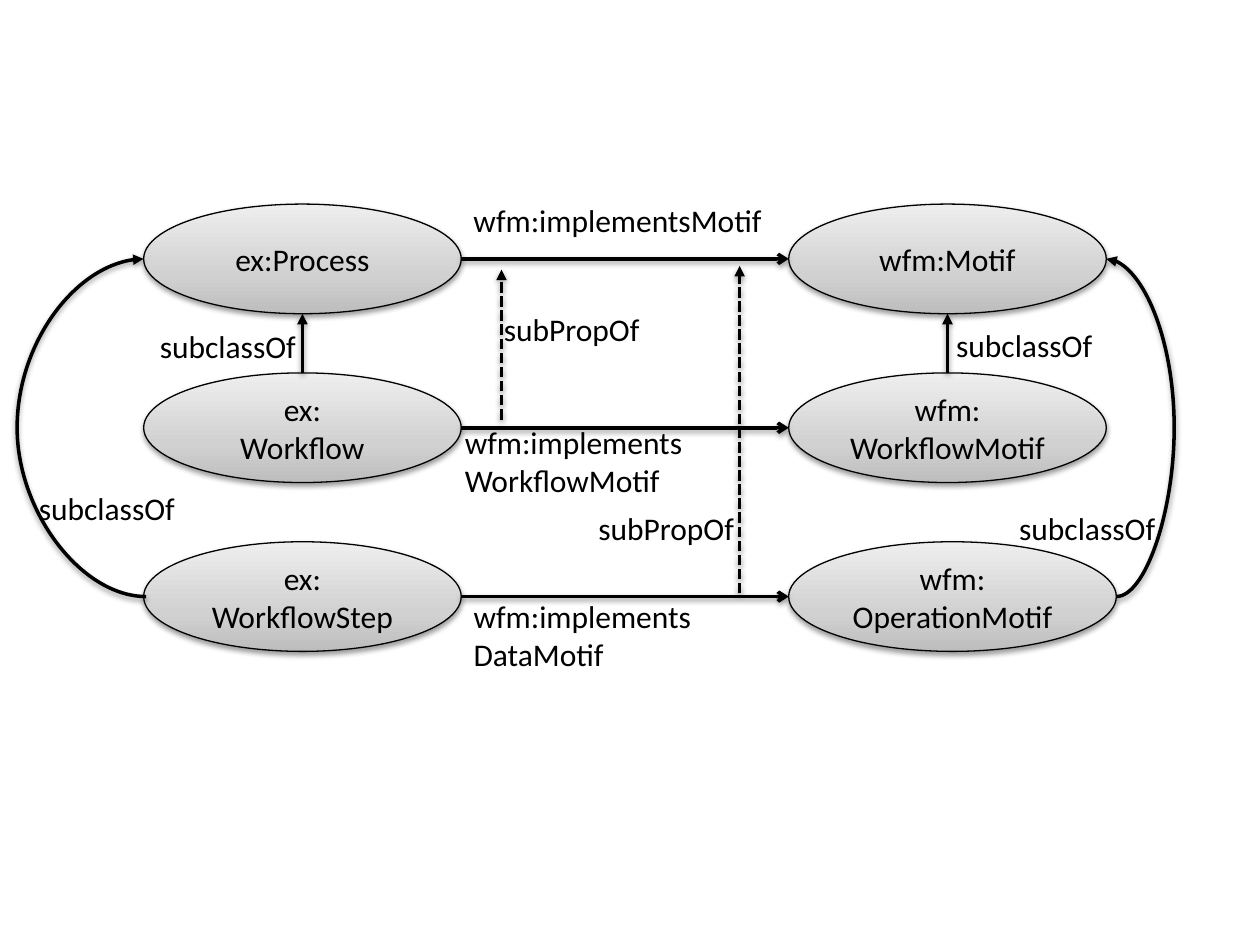
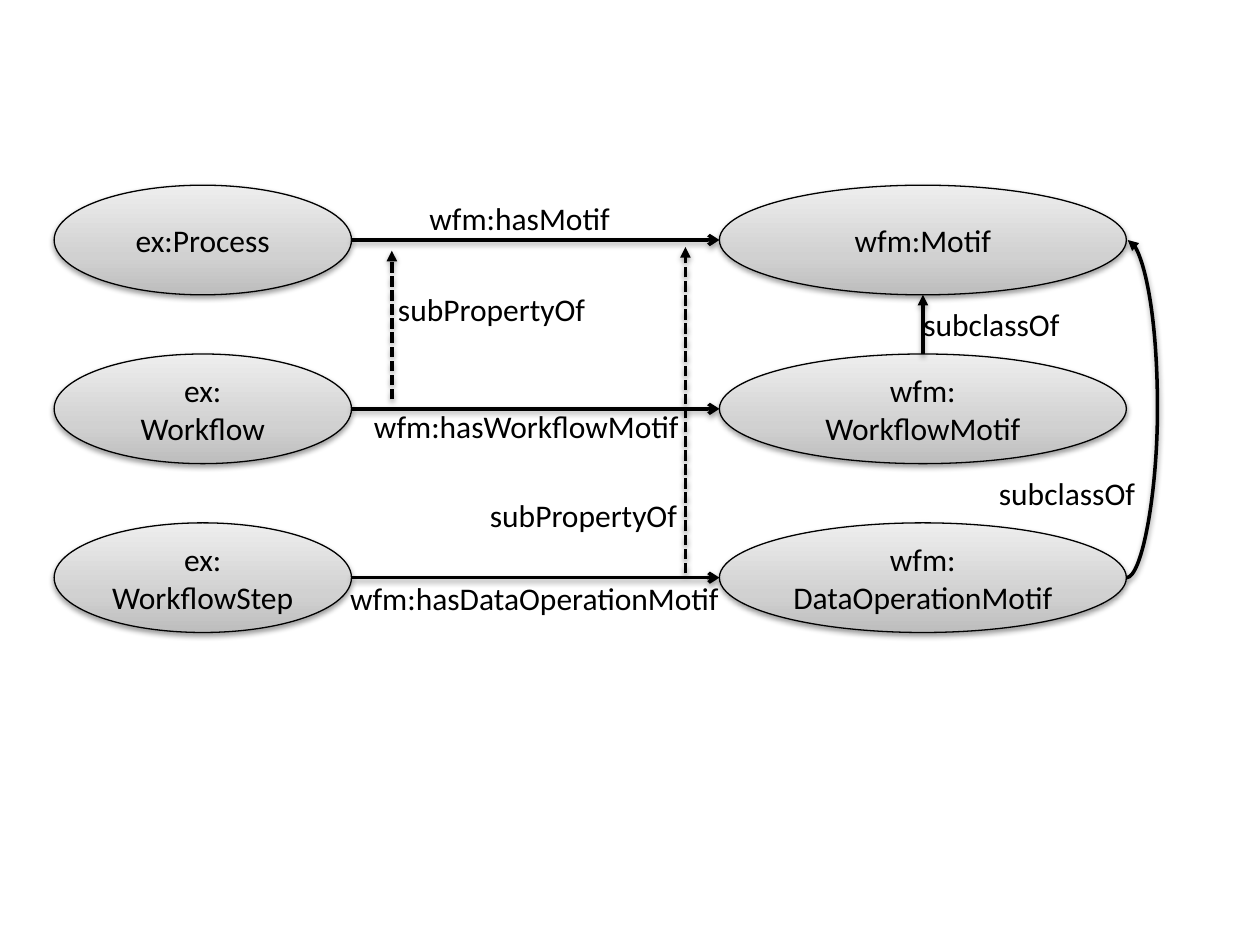
from copy import deepcopy
from dataclasses import dataclass

from pptx import Presentation
from pptx.dml.color import RGBColor
from pptx.enum.dml import MSO_LINE
from pptx.enum.shapes import MSO_CONNECTOR, MSO_SHAPE
from pptx.enum.text import MSO_ANCHOR, MSO_AUTO_SIZE, PP_ALIGN
from pptx.oxml import parse_xml
from pptx.oxml.ns import nsdecls, qn
from pptx.shapes.connector import Connector
from pptx.slide import Slide
from pptx.text.text import TextFrame
from pptx.util import Inches, Pt

# Shared style
BLACK = RGBColor(0x00, 0x00, 0x00)
GRADIENT = [
    (0, RGBColor(0xBD, 0xBD, 0xBD)),
    (0.35, RGBColor(0xD1, 0xD1, 0xD1)),
    (1, RGBColor(0xEE, 0xEE, 0xEE)),
]
FONT = "Calibri"
TEXT_SIZE = Pt(18)

# Shared geometry, in inches
NODE_HEIGHT = 0.87
ROW_STEP = 1.34

Point = tuple[float, float]


@dataclass
class Node:
    text: str
    left: float
    top: float
    width: float

    @property
    def middle(self) -> float:
        return self.top + NODE_HEIGHT / 2

    @property
    def center(self) -> float:
        return self.left + self.width / 2

    @property
    def right(self) -> float:
        return self.left + self.width


@dataclass
class Label:
    text: str
    left: float
    top: float
    width: float = 1.4
    height: float = 0.4


@dataclass
class SubProperty:
    """Dashed arrow from a lower relation up to the top one."""
    x: float
    start: float
    end: float


@dataclass
class Bend:
    """Curved subclass arrow from the bottom row round to the top row."""
    start_x: float
    end_x: float
    via_x: float


@dataclass
class Diagram:
    examples: list[Node]
    motifs: list[Node]
    subclass_columns: list[list[Node]]
    bends: list[Bend]
    sub_properties: list[SubProperty]
    labels: list[Label]


def column(left: float, top: float, width: float, *texts: str) -> list[Node]:
    return [Node(text, left, top + row * ROW_STEP, width) for row, text in enumerate(texts)]


def add_shadow(item) -> None:
    item._element.spPr.append(parse_xml(
        f'<a:effectLst {nsdecls("a")}>'
        '<a:outerShdw blurRad="40000" dist="20000" dir="5400000" rotWithShape="0">'
        '<a:srgbClr val="000000"><a:alpha val="38000"/></a:srgbClr>'
        '</a:outerShdw></a:effectLst>'))


def write(frame: TextFrame, text: str, align: PP_ALIGN) -> None:
    paragraph = frame.paragraphs[0]
    paragraph.text = text
    paragraph.alignment = align
    for run in paragraph.runs:
        run.font.name = FONT
        run.font.size = TEXT_SIZE
        run.font.color.rgb = BLACK


def draw_node(slide: Slide, node: Node) -> None:
    ellipse = slide.shapes.add_shape(
        MSO_SHAPE.OVAL, Inches(node.left), Inches(node.top),
        Inches(node.width), Inches(NODE_HEIGHT))
    ellipse.fill.gradient()
    ellipse.fill.gradient_angle = 90
    stop_list = next(ellipse._element.spPr.iter(qn("a:gsLst")))
    stop_list.append(deepcopy(stop_list[0]))
    for stop, (position, color) in zip(ellipse.fill.gradient_stops, GRADIENT):
        stop.position = position
        stop.color.rgb = color
    ellipse.line.color.rgb = BLACK
    ellipse.line.width = Pt(0.75)
    add_shadow(ellipse)
    ellipse.text_frame.vertical_anchor = MSO_ANCHOR.MIDDLE
    write(ellipse.text_frame, node.text, PP_ALIGN.CENTER)


def draw_arrow(slide: Slide, start: Point, end: Point, head: str = "triangle",
               dashed: bool = False, kind: MSO_CONNECTOR = MSO_CONNECTOR.STRAIGHT) -> Connector:
    arrow = slide.shapes.add_connector(kind, *(Inches(value) for value in (*start, *end)))
    arrow.line.color.rgb = BLACK
    arrow.line.width = Pt(2)
    if dashed:
        arrow.line.dash_style = MSO_LINE.SQUARE_DOT
    arrow.line._get_or_add_ln().append(
        parse_xml(f'<a:tailEnd {nsdecls("a")} type="{head}"/>'))
    add_shadow(arrow)
    return arrow


def draw_bend(slide: Slide, bend: Bend, start_y: float, end_y: float) -> None:
    arrow = draw_arrow(slide, (bend.start_x, start_y), (bend.end_x, end_y),
                       kind=MSO_CONNECTOR.CURVE)
    ratio = (bend.via_x - bend.start_x) / (bend.end_x - bend.start_x)
    geometry = arrow._element.spPr.find(qn("a:prstGeom"))
    for guides in geometry.findall(qn("a:avLst")):
        geometry.remove(guides)
    geometry.append(parse_xml(
        f'<a:avLst {nsdecls("a")}>'
        f'<a:gd name="adj1" fmla="val {round(ratio * 100000)}"/></a:avLst>'))


def draw_label(slide: Slide, label: Label) -> None:
    box = slide.shapes.add_textbox(Inches(label.left), Inches(label.top),
                                   Inches(label.width), Inches(label.height))
    box.text_frame.word_wrap = True
    box.text_frame.auto_size = MSO_AUTO_SIZE.SHAPE_TO_FIT_TEXT
    write(box.text_frame, label.text, PP_ALIGN.LEFT)


def draw_diagram(slide: Slide, diagram: Diagram) -> None:
    for node in diagram.examples + diagram.motifs:
        draw_node(slide, node)
    for top, middle, _ in diagram.subclass_columns:
        draw_arrow(slide, (middle.center, middle.top), (middle.center, top.top + NODE_HEIGHT))
    for bend in diagram.bends:
        draw_bend(slide, bend, diagram.motifs[-1].middle, diagram.motifs[0].middle)
    for example, motif in zip(diagram.examples, diagram.motifs):
        draw_arrow(slide, (example.right, example.middle), (motif.left, motif.middle), "arrow")
    for link in diagram.sub_properties:
        draw_arrow(slide, (link.x, link.start), (link.x, link.end), dashed=True)
    for label in diagram.labels:
        draw_label(slide, label)


EXAMPLES = ("ex:Process", "ex:\nWorkflow", "ex:\nWorkflowStep")
MOTIFS = ("wfm:Motif", "wfm:\nWorkflowMotif")

# Slide 1: "implements" relations
implementers = column(1.14, 1.62, 2.52, *EXAMPLES)
implemented = column(6.26, 1.62, 2.52, *MOTIFS, "wfm:\nOperationMotif")
implemented[-1].width = 2.6
implements_diagram = Diagram(
    examples=implementers,
    motifs=implemented,
    subclass_columns=[implementers, implemented],
    bends=[Bend(1.16, 1.14, 0.14), Bend(8.86, 8.78, 9.32)],
    sub_properties=[SubProperty(5.87, 4.71, 2.11), SubProperty(3.98, 3.33, 2.14)],
    labels=[
        Label("wfm:implementsMotif", 3.66, 1.55, 2.6),
        Label("wfm:implements\nWorkflowMotif", 3.59, 3.31, 2.52, 0.71),
        Label("wfm:implements\nDataMotif", 3.66, 4.69, 2.52, 0.71),
        Label("subclassOf", 0.21, 3.83),
        Label("subclassOf", 1.17, 2.55),
        Label("subclassOf", 7.49, 2.54),
        Label("subclassOf", 7.99, 3.99),
        Label("subPropOf", 3.9, 2.41),
        Label("subPropOf", 4.65, 3.99),
    ],
)

# Slide 2: "has" relations
holders = column(0.43, 1.47, 2.36, *EXAMPLES)
held = column(5.71, 1.47, 3.23, *MOTIFS, "wfm:\nDataOperationMotif")
has_diagram = Diagram(
    examples=holders,
    motifs=held,
    subclass_columns=[held],
    bends=[Bend(8.94, 8.95, 9.19)],
    sub_properties=[SubProperty(5.44, 4.55, 1.96), SubProperty(3.11, 3.17, 1.99)],
    labels=[
        Label("wfm:hasMotif", 3.31, 1.53, 2.6),
        Label("wfm:hasWorkflowMotif", 2.87, 3.18, 2.67),
        Label("wfm:hasDataOperationMotif", 2.68, 4.55, 3.62),
        Label("subclassOf", 7.23, 2.37),
        Label("subclassOf", 7.83, 3.71),
        Label("subPropertyOf", 3.06, 2.25, 2.25),
        Label("subPropertyOf", 3.79, 3.89, 1.84),
    ],
)

# Build the deck
deck = Presentation()
deck.slide_width = Inches(10)
deck.slide_height = Inches(7.5)
blank = deck.slide_layouts[6]
for diagram in (implements_diagram, has_diagram):
    draw_diagram(deck.slides.add_slide(blank), diagram)
deck.save("out.pptx")
